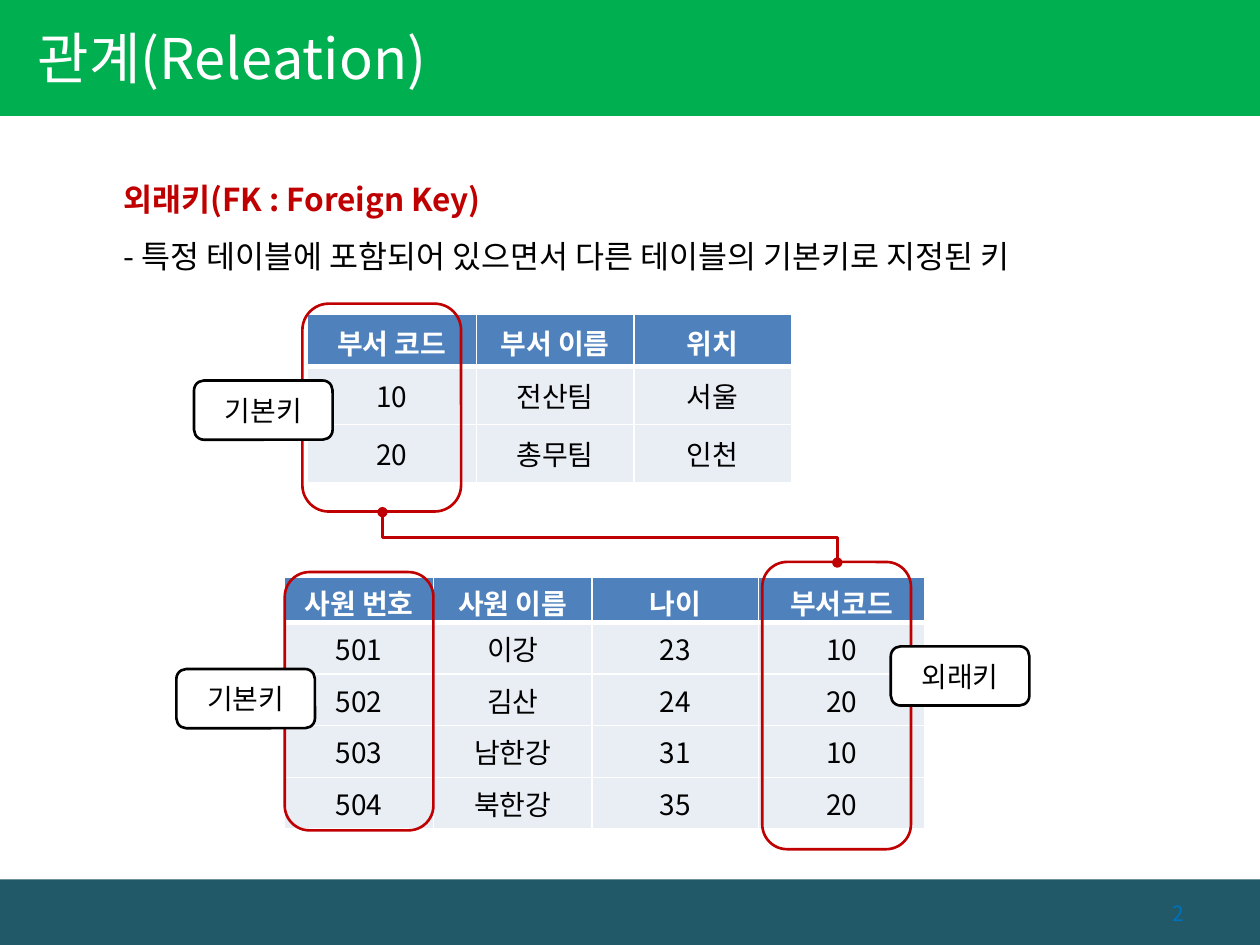
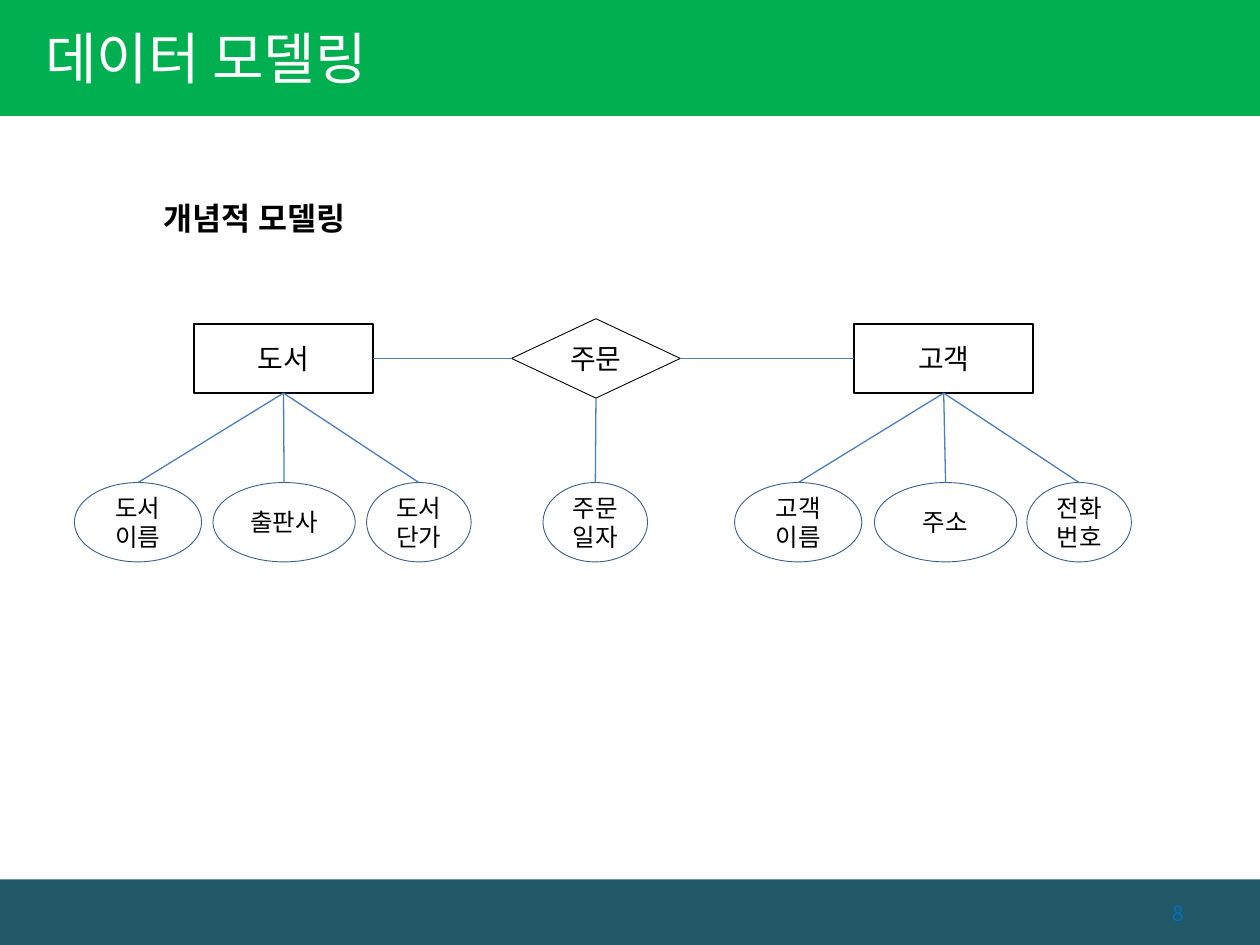
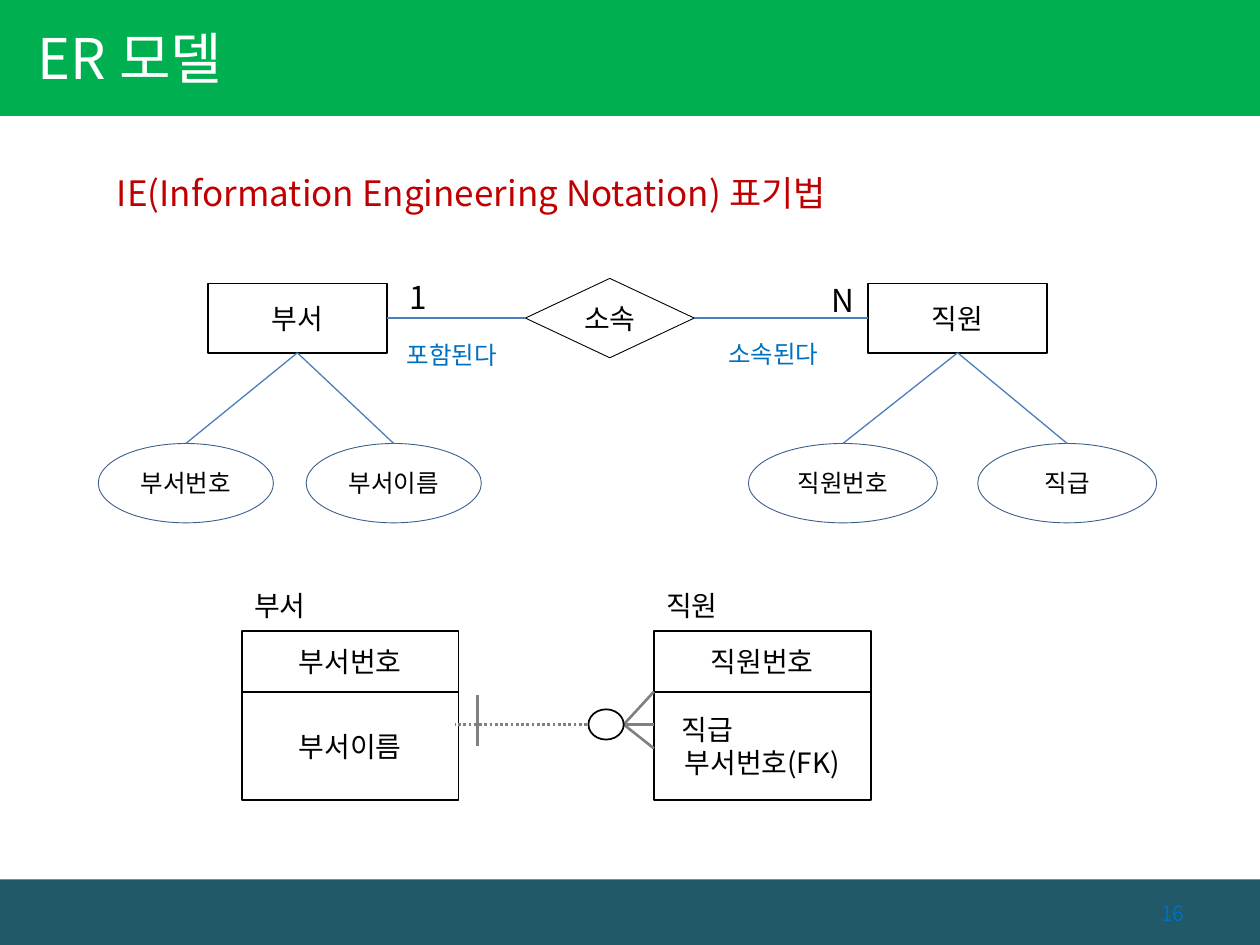
"""Build three lecture slides on relational keys and entity-relationship modelling."""
from lxml.etree import SubElement
from pptx import Presentation
from pptx.dml.color import RGBColor
from pptx.enum.dml import MSO_LINE
from pptx.enum.shapes import MSO_CONNECTOR, MSO_SHAPE
from pptx.enum.text import MSO_ANCHOR, MSO_AUTO_SIZE, PP_ALIGN
from pptx.oxml.ns import qn
from pptx.shapes.connector import Connector
from pptx.util import Pt

PX = 9144
FONT = "Noto Sans CJK KR"
WHITE = RGBColor(0xFF, 0xFF, 0xFF)
BLACK = RGBColor(0x00, 0x00, 0x00)
GREEN = RGBColor(0x00, 0xB0, 0x50)
TEAL = RGBColor(0x21, 0x59, 0x68)
BLUE = RGBColor(0x00, 0x70, 0xC0)
RED = RGBColor(0xC0, 0x00, 0x00)
GRAY = RGBColor(0x80, 0x80, 0x80)
HEADER_BLUE = RGBColor(0x4F, 0x81, 0xBD)
ROW_BLUE = RGBColor(0xE9, 0xED, 0xF4)
OUTLINE_BLUE = RGBColor(0x3A, 0x5F, 0x8C)
LINK_BLUE = RGBColor(0x4B, 0x7E, 0xBC)


def write(frame, lines, size=16, color=BLACK, bold=False, align=PP_ALIGN.CENTER, anchor=MSO_ANCHOR.MIDDLE):
    """Fill a text frame with one paragraph per line."""
    frame.vertical_anchor = anchor
    frame.word_wrap = True
    for number, line in enumerate(lines):
        paragraph = frame.add_paragraph() if number else frame.paragraphs[0]
        paragraph.alignment = align
        run = paragraph.add_run()
        run.text = line
        for name, value in {"name": FONT, "size": Pt(size), "bold": bold}.items():
            setattr(run.font, name, value)
        run.font.color.rgb = color
        SubElement(run.font._element, qn("a:ea"), typeface=FONT)


def add_box(slide, kind, place, lines=(), fill=None, outline=None, width=1, **text_format):
    """Add a preset shape, or a text box when kind is None."""
    place = [length * PX for length in place]
    if kind is None:
        shape = slide.shapes.add_textbox(*place)
        text_format = {"align": PP_ALIGN.LEFT, "anchor": MSO_ANCHOR.TOP} | text_format
    else:
        shape = slide.shapes.add_shape(kind, *place)
        shape.shadow.inherit = False
        for format_part, color in ((shape.fill, fill), (shape.line.fill, outline)):
            if color is None:
                format_part.background()
            else:
                format_part.solid()
                format_part.fore_color.rgb = color
        if outline is not None:
            shape.line.width = Pt(width)
    write(shape.text_frame, lines, **text_format)
    return shape


presentation = Presentation()
presentation.slide_width = 1000 * PX
presentation.slide_height = 750 * PX
title_layout = presentation.slide_layouts[5]

slides = []
for title_text, left, inset, page_number in (
    ("관계(Releation)", 8, 22, "2"),
    ("데이터 모델링", 0, 36, "8"),
    ("ER 모델", 0, 30, "16"),
):
    slide = presentation.slides.add_slide(title_layout)
    title = slide.shapes.title
    for name, value in {"left": left, "top": -2, "width": 626, "height": 94}.items():
        setattr(title, name, value * PX)
    title.text_frame.auto_size = MSO_AUTO_SIZE.NONE
    title.text_frame.margin_left = inset * PX
    write(title.text_frame, [title_text], size=32, color=WHITE, align=PP_ALIGN.LEFT)
    add_box(slide, None, (700, 707, 250, 36), [page_number], size=12, color=BLUE,
            align=PP_ALIGN.RIGHT, anchor=MSO_ANCHOR.MIDDLE)
    slides.append(slide)
key_slide, concept_slide, notation_slide = slides

for position, (top, height, color) in enumerate(((698, 52, TEAL), (0, 92, GREEN)), start=2):
    band = add_box(key_slide, MSO_SHAPE.RECTANGLE, (0, top, 1000, height), fill=color)
    title_layout.shapes.element.insert(position, band.element)

definition = add_box(key_slide, None, (88, 123, 882, 101), [
    "외래키(FK : Foreign Key)",
    "- 특정 테이블에 포함되어 있으면서 다른 테이블의 기본키로 지정된 키",
], size=18, color=RED, bold=True)
for paragraph in definition.text_frame.paragraphs:
    paragraph.line_spacing = 1.5
explanation = definition.text_frame.paragraphs[1]
explanation.runs[0].font.bold = False
explanation.runs[0].font.color.rgb = BLACK

employees = [
    ["사원 번호", "사원 이름", "나이", "부서코드"],
    ["501", "이강", "23", "10"],
    ["502", "김산", "24", "20"],
    ["503", "남한강", "31", "10"],
    ["504", "북한강", "35", "20"],
]
departments = [
    ["부서 코드", "부서 이름", "위치"],
    ["10", "전산팀", "서울"],
    ["20", "총무팀", "인천"],
]
for records, left, top, column_widths, header_height, row_height, key_frames in (
    (employees, 226, 458, (118, 126, 132, 132), 36, 41, ((605, 446, 118, 228), (226, 454, 118, 205))),
    (departments, 244, 249, (134, 125, 125), 42, 46, ((240, 241, 126, 165),)),
):
    row_heights = [header_height] + [row_height] * (len(records) - 1)
    table = key_slide.shapes.add_table(
        len(records), len(column_widths), left * PX, top * PX,
        sum(column_widths) * PX, sum(row_heights) * PX).table
    for column, width in zip(table.columns, column_widths):
        column.width = width * PX
    for row_number, (row, height, values) in enumerate(zip(table.rows, row_heights, records)):
        row.height = height * PX
        is_header = row_number == 0
        for cell, value in zip(row.cells, values):
            properties = cell._tc.get_or_add_tcPr()
            heavy_side = {0: "a:lnB", 1: "a:lnT"}.get(row_number)
            for side in ("a:lnL", "a:lnR", "a:lnT", "a:lnB"):
                border = SubElement(properties, qn(side), w=str(Pt(3 if side == heavy_side else 1)))
                SubElement(SubElement(border, qn("a:solidFill")), qn("a:srgbClr"), val=str(WHITE))
            cell.fill.solid()
            cell.fill.fore_color.rgb = HEADER_BLUE if is_header else ROW_BLUE
            cell.margin_top = (4 if is_header else 2) * PX
            cell.margin_bottom = (0 if is_header else 2) * PX
            write(cell.text_frame, [value], color=WHITE if is_header else BLACK, bold=is_header)
            cell.vertical_anchor = MSO_ANCHOR.MIDDLE
    for place in key_frames:
        add_box(key_slide, MSO_SHAPE.ROUNDED_RECTANGLE, place, outline=RED, width=1.5)

for key_name, left, top in (("외래키", 707, 513), ("기본키", 154, 302), ("기본키", 140, 531)):
    add_box(key_slide, MSO_SHAPE.ROUNDED_RECTANGLE, (left, top, 110, 47), [key_name],
            fill=WHITE, outline=BLACK, width=1.5)

key_link = key_slide.shapes.add_connector(MSO_CONNECTOR.ELBOW, 504 * PX, 246 * PX, 464 * PX, 607 * PX)
key_link.line.color.rgb = RED
key_link.line.width = Pt(1.5)
key_link.element.spPr.find(qn("a:xfrm")).set("rot", "16200000")
for line_end in ("a:headEnd", "a:tailEnd"):
    SubElement(key_link.line._get_or_add_ln(), qn(line_end), type="oval")

add_box(concept_slide, None, (98, 153, 208, 40), ["개념적 모델링"], size=18, bold=True, align=PP_ALIGN.CENTER)
add_box(notation_slide, None, (83, 131, 614, 44),
        ["IE(Information Engineering Notation) 표기법"], size=20, color=RED)

for slide, top, attribute_top, nodes in (
    (concept_slide, 257, 383, (
        ("도서", 154, (("도서이름", 59, 101), ("출판사", 169, 113), ("도서단가", 291, 83))),
        ("주문", 406, (("주문일자", 431, 83),)),
        ("고객", 678, (("고객이름", 583, 101), ("주소", 694, 113), ("전화번호", 815, 83))),
    )),
    (notation_slide, 225, 352, (
        ("부서", 165, (("부서번호", 78, 139), ("부서이름", 243, 139))),
        ("소속", 417, ()),
        ("직원", 689, (("직원번호", 594, 150), ("직급", 776, 142))),
    )),
):
    node_shapes = []
    links = []
    for number, (node_name, left, attributes) in enumerate(nodes):
        if number == 1:
            node = add_box(slide, MSO_SHAPE.DIAMOND, (left, top - 4, 134, 63), [node_name],
                           outline=BLACK, width=0.5)
        else:
            node = add_box(slide, MSO_SHAPE.RECTANGLE, (left, top, 142, 55), [node_name], outline=BLACK)
        node_shapes.append(node)
        for attribute_name, attribute_left, width in attributes:
            attribute = add_box(slide, MSO_SHAPE.OVAL, (attribute_left, attribute_top, width, 63),
                                [attribute_name], outline=OUTLINE_BLUE, width=0.5, size=14)
            links.append((node, 2, attribute, 0))
    links += [(first, 3, second, 1) for first, second in zip(node_shapes, node_shapes[1:])]
    for start, start_site, end, end_site in links:
        link = slide.shapes.add_connector(MSO_CONNECTOR.STRAIGHT, 0, 0, 0, 0)
        link.begin_connect(start, start_site)
        link.end_connect(end, end_site)
        link.line.color.rgb = LINK_BLUE
        link.line.width = Pt(0.75)

for label, place, size, color in (
    ("포함된다", (313, 265, 104, 34), 14, BLUE),
    ("소속된다", (568, 264, 104, 34), 14, BLUE),
    ("1", (315, 216, 39, 40), 18, BLACK),
    ("N", (650, 218, 39, 40), 18, BLACK),
):
    add_box(notation_slide, None, place, [label], size=size, color=color)

for entity_name, left, key_name, fields in (
    ("부서", 192, "부서번호", ["부서이름"]),
    ("직원", 519, "직원번호", ["직급", "부서번호(FK)"]),
):
    add_box(notation_slide, None, (left, 462, 82, 37), [entity_name])
    add_box(notation_slide, MSO_SHAPE.RECTANGLE, (left, 501, 172, 48), [key_name], outline=BLACK)
    field_box = add_box(notation_slide, MSO_SHAPE.RECTANGLE, (left, 549, 172, 86), fields, outline=BLACK)
rank_paragraph = field_box.text_frame.paragraphs[0]
rank_paragraph.alignment = PP_ALIGN.LEFT
rank_paragraph._p.get_or_add_pPr().set("marL", str(12 * PX))

for points, dash in (
    ((495, 575, 361, 575), MSO_LINE.ROUND_DOT),
    ((495, 575, 519, 549), None),
    ((495, 575, 519, 594), None),
    ((495, 575, 519, 575), None),
    ((379, 552, 379, 592), None),
):
    relation_line = notation_slide.shapes.add_connector(
        MSO_CONNECTOR.STRAIGHT, *(point * PX for point in points))
    relation_line.line.color.rgb = GRAY
    relation_line.line.width = Pt(1.5)
    relation_line.line.dash_style = dash
add_box(notation_slide, MSO_SHAPE.OVAL, (467, 563, 28, 24), fill=WHITE, outline=BLACK)

for slide in slides:
    for shape in slide.shapes:
        if isinstance(shape, Connector):
            SubElement(shape.element.spPr, qn("a:effectLst"))

presentation.save("out.pptx")
